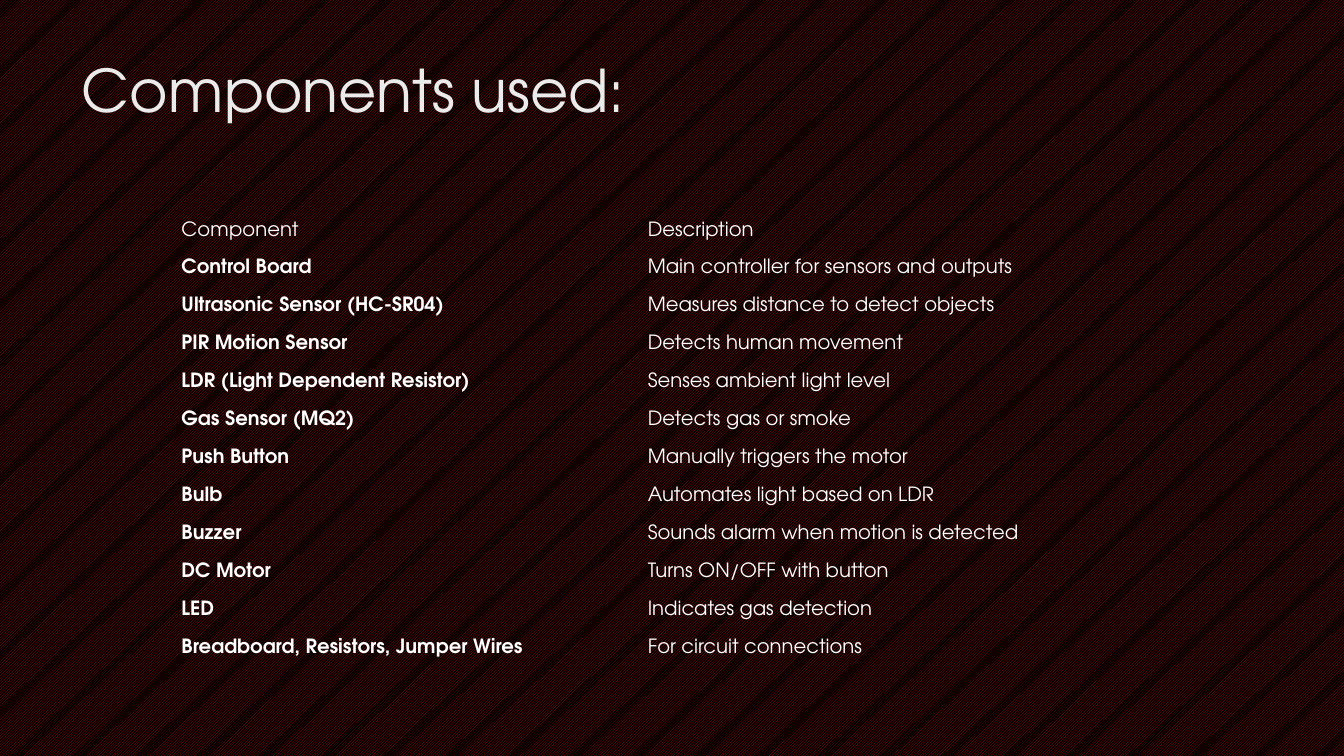
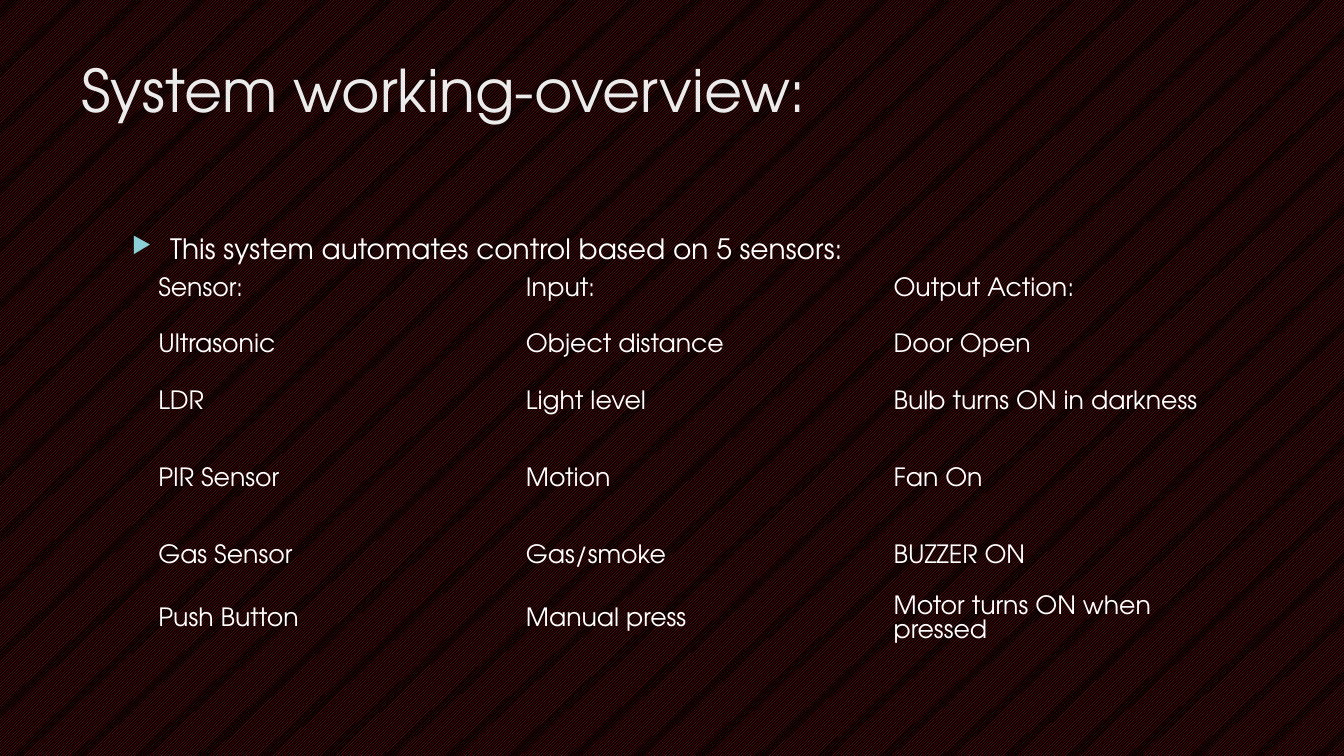
from lxml.etree import SubElement
from pptx import Presentation
from pptx.dml.color import RGBColor
from pptx.enum.dml import MSO_PATTERN
from pptx.enum.text import MSO_ANCHOR, MSO_AUTO_SIZE, PP_ALIGN
from pptx.oxml.ns import qn
from pptx.util import Inches, Pt

FONT = "TeX Gyre Adventor"
RED, BLACK, WHITE, OFF_WHITE, AQUA = "B01513", "000000", "FFFFFF", "EBEBEB", "8AD0D6"
NO_STYLE_NO_GRID = "{2D5ABB26-0587-4C30-8999-92F81FD0307C}"
rgb = RGBColor.from_string


def write(frame, text, size, color, bold=False):
    paragraph = frame.paragraphs[0]
    paragraph.alignment = PP_ALIGN.LEFT
    run = paragraph.add_run()
    run.text = text
    for name, value in {"name": FONT, "size": Pt(size), "bold": bold}.items():
        setattr(run.font, name, value)
    run.font.color.rgb = rgb(color)
    return paragraph


prs = Presentation()
prs.slide_width, prs.slide_height = Inches(13.33), Inches(7.5)

# Shared background: fine red diagonals on black
backdrop = prs.slide_master.background.fill
backdrop.patterned()
backdrop.pattern = MSO_PATTERN.LIGHT_UPWARD_DIAGONAL
backdrop.fore_color.rgb = rgb(RED)
backdrop.back_color.rgb = rgb(BLACK)

# Content of both slides
components = [
    ("Component", "Description"),
    ("Control Board", "Main controller for sensors and outputs"),
    ("Ultrasonic Sensor (HC-SR04)", "Measures distance to detect objects"),
    ("PIR Motion Sensor", "Detects human movement"),
    ("LDR (Light Dependent Resistor)", "Senses ambient light level"),
    ("Gas Sensor (MQ2)", "Detects gas or smoke"),
    ("Push Button", "Manually triggers the motor"),
    ("Bulb", "Automates light based on LDR"),
    ("Buzzer", "Sounds alarm when motion is detected"),
    ("DC Motor", "Turns ON/OFF with button"),
    ("LED", "Indicates gas detection"),
    ("Breadboard, Resistors, Jumper Wires", "For circuit connections"),
]
sensors = [
    ("Sensor:", "Input:", "Output Action:"),
    ("Ultrasonic", "Object distance", "Door Open"),
    ("LDR", "Light level", "Bulb turns ON in darkness"),
    ("PIR Sensor", "Motion", "Fan On"),
    ("Gas Sensor", "Gas/smoke", "BUZZER ON"),
    ("Push Button", "Manual press", "Motor turns ON when pressed"),
]
slides = [
    {"title": "Components used:", "intro": None, "rows": components,
     "box": (1.72, 2.1, 9.25, 4.52), "heights": [4.52 / len(components)] * len(components),
     "size": 14, "bold_names": True, "insets": (0.08, 0.04)},
    {"title": "System working-overview:",
     "intro": "This system automates control based on 5 sensors:", "rows": sensors,
     "box": (1.47, 2.59, 10.94, 3.58), "heights": [0.56, 0.56, 0.56, 0.97, 0.56, 0.37],
     "size": 18, "bold_names": False, "insets": (0.1, 0.05)},
]

for content in slides:
    slide = prs.slides.add_slide(prs.slide_layouts[5])

    # Title
    title = slide.shapes.title
    title.left, title.top, title.width, title.height = map(Inches, (0.71, 0.48, 10.29, 1.53))
    title.text_frame.vertical_anchor = MSO_ANCHOR.TOP
    title.text_frame.auto_size = MSO_AUTO_SIZE.NONE
    write(title.text_frame, content["title"], 42, OFF_WHITE)

    # Bulleted introduction
    if content["intro"]:
        intro = slide.shapes.add_textbox(*map(Inches, (1.21, 2.25, 9.78, 0.45)))
        intro.text_frame.word_wrap = True
        props = write(intro.text_frame, content["intro"], 20, WHITE)._p.get_or_add_pPr()
        props.set("marL", str(Inches(0.38)))
        props.set("indent", str(-Inches(0.38)))
        bullet_color = SubElement(props, qn("a:buClr"))
        SubElement(bullet_color, qn("a:srgbClr"), val=AQUA)
        SubElement(props, qn("a:buSzPct"), val="80000")
        SubElement(props, qn("a:buChar"), char="▶")

    # Table without fills or grid
    rows = content["rows"]
    left, top, width, height = map(Inches, content["box"])
    table = slide.shapes.add_table(len(rows), len(rows[0]), left, top, width, height).table
    table.first_row = table.horz_banding = False
    table._tbl.tblPr.find(qn("a:tableStyleId")).text = NO_STYLE_NO_GRID
    side, edge = map(Inches, content["insets"])
    cell_format = {"vertical_anchor": MSO_ANCHOR.MIDDLE, "margin_left": side,
                   "margin_right": side, "margin_top": edge, "margin_bottom": edge}
    for r, texts in enumerate(rows):
        table.rows[r].height = Inches(content["heights"][r])
        for c, text in enumerate(texts):
            cell = table.cell(r, c)
            cell.fill.background()
            for name, value in cell_format.items():
                setattr(cell, name, value)
            bold = content["bold_names"] and r > 0 and c == 0
            write(cell.text_frame, text, content["size"], WHITE, bold)

prs.save("out.pptx")
